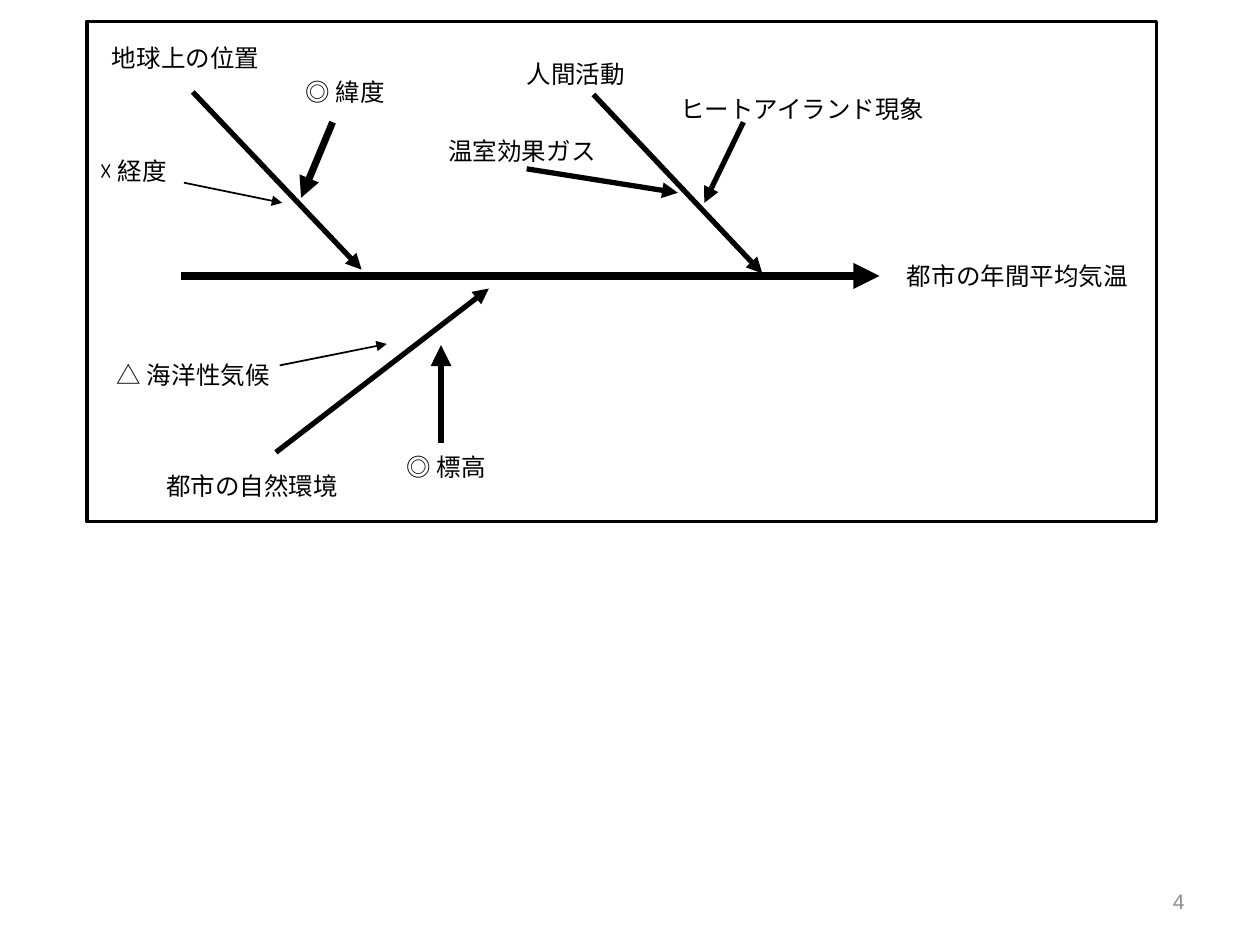
from pptx import Presentation
from pptx.dml.color import RGBColor
from pptx.enum.shapes import MSO_CONNECTOR, MSO_SHAPE
from pptx.enum.text import MSO_ANCHOR, MSO_AUTO_SIZE, PP_ALIGN
from pptx.oxml.ns import qn
from pptx.util import Inches, Pt
from lxml import etree

BLACK = RGBColor(0, 0, 0)
GRAY = RGBColor(0x8C, 0x8C, 0x8C)
LINE = MSO_CONNECTOR.STRAIGHT
RECT = MSO_SHAPE.RECTANGLE
MIDDLE = MSO_ANCHOR.MIDDLE
FIT = MSO_AUTO_SIZE.SHAPE_TO_FIT_TEXT
RIGHT = PP_ALIGN.RIGHT

deck = Presentation()
deck.slide_width = Inches(10)
deck.slide_height = Inches(7.5)
slide = deck.slides.add_slide(deck.slide_layouts[6])


def add_text(text, left, top, width, height, size, color):
    box = slide.shapes.add_textbox(
        Inches(left), Inches(top), Inches(width), Inches(height))
    run = box.text_frame.paragraphs[0].add_run()
    run.text = text
    run.font.name = "Arial"
    run.font.size = Pt(size)
    run.font.color.rgb = color
    return box.text_frame


number = add_text("4", 7.17, 6.95, 2.33, 0.4, 12, GRAY)
number.word_wrap = True
number.vertical_anchor = MIDDLE
number.paragraphs[0].alignment = RIGHT

arrows = [
    (1.44, 2.19, 6.98, 2.19, 5),
    (1.53, 0.73, 2.87, 2.14, 3),
    (2.64, 0.97, 2.39, 1.57, 4),
    (1.46, 1.45, 2.24, 1.61, 1),
    (4.71, 0.75, 6.05, 2.17, 3),
    (4.18, 1.34, 5.38, 1.53, 3),
    (5.9, 0.97, 5.59, 1.61, 3),
    (2.19, 3.59, 3.88, 2.29, 3),
    (2.22, 2.9, 3.07, 2.73, 1),
    (3.5, 3.52, 3.5, 2.74, 4),
]
for x1, y1, x2, y2, weight in arrows:
    arrow = slide.shapes.add_connector(
        LINE, Inches(x1), Inches(y1), Inches(x2), Inches(y2))
    arrow.line.color.rgb = BLACK
    arrow.line.width = Pt(weight)
    etree.SubElement(arrow.line._get_or_add_ln(), qn("a:tailEnd"), type="triangle")
    etree.SubElement(arrow._element.spPr, qn("a:effectLst"))

labels = [
    ("地球上の位置", 0.79, 0.29, 1.38),
    ("◎ 緯度", 2.33, 0.56, 0.84),
    ("☓ 経度", 0.69, 1.19, 0.78),
    ("人間活動", 4.08, 0.42, 0.99),
    ("温室効果ガス", 3.46, 1.03, 1.38),
    ("ヒートアイランド現象", 5.3, 0.7, 2.17),
    ("都市の自然環境", 1.22, 3.69, 1.58),
    ("△ 海洋性気候", 0.83, 2.81, 1.43),
    ("◎ 標高", 3.13, 3.54, 0.84),
    ("都市の年間平均気温", 7.1, 2.02, 1.97),
]
for text, left, top, width in labels:
    label = add_text(text, left, top, width, 0.34, 14, BLACK)
    label.word_wrap = False
    label.auto_size = FIT

frame = slide.shapes.add_shape(
    RECT, Inches(0.69), Inches(0.17), Inches(8.49), Inches(3.97))
frame.shadow.inherit = False
frame.fill.background()
frame.line.color.rgb = BLACK
frame.line.width = Pt(2)

deck.save("out.pptx")
